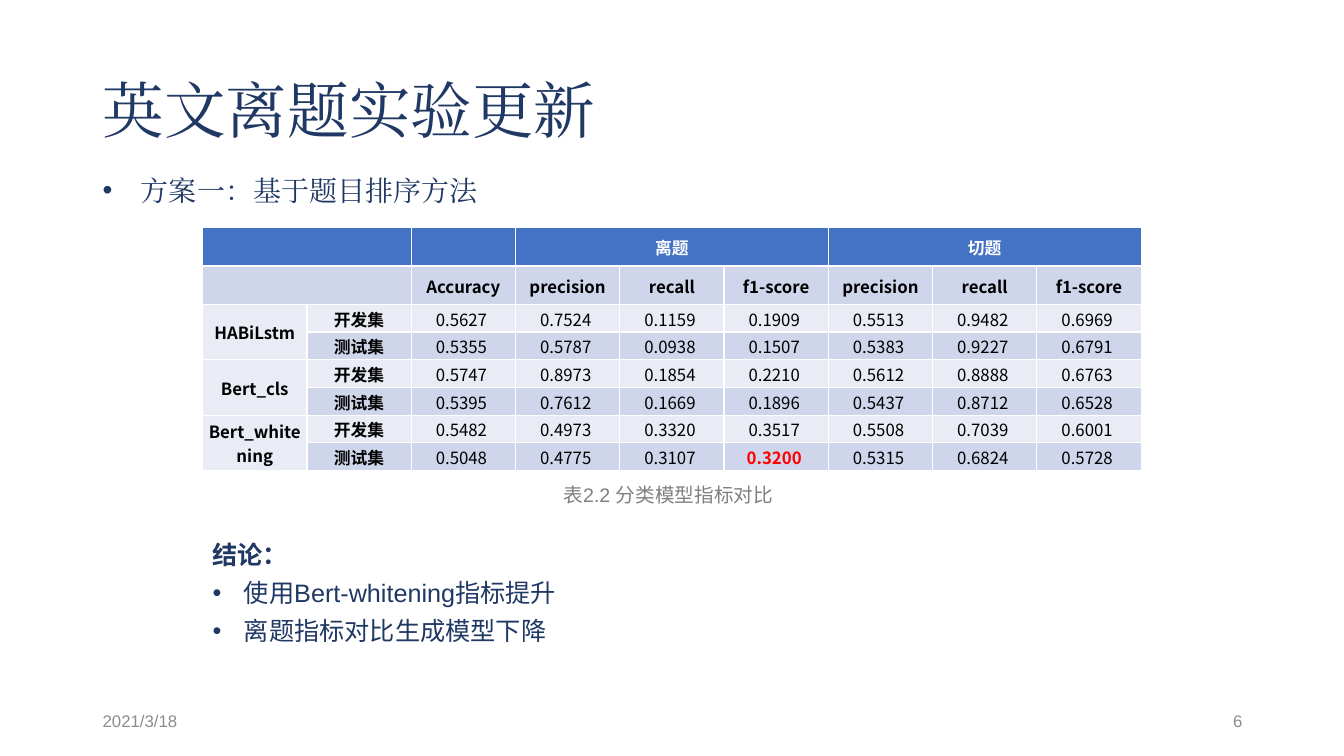
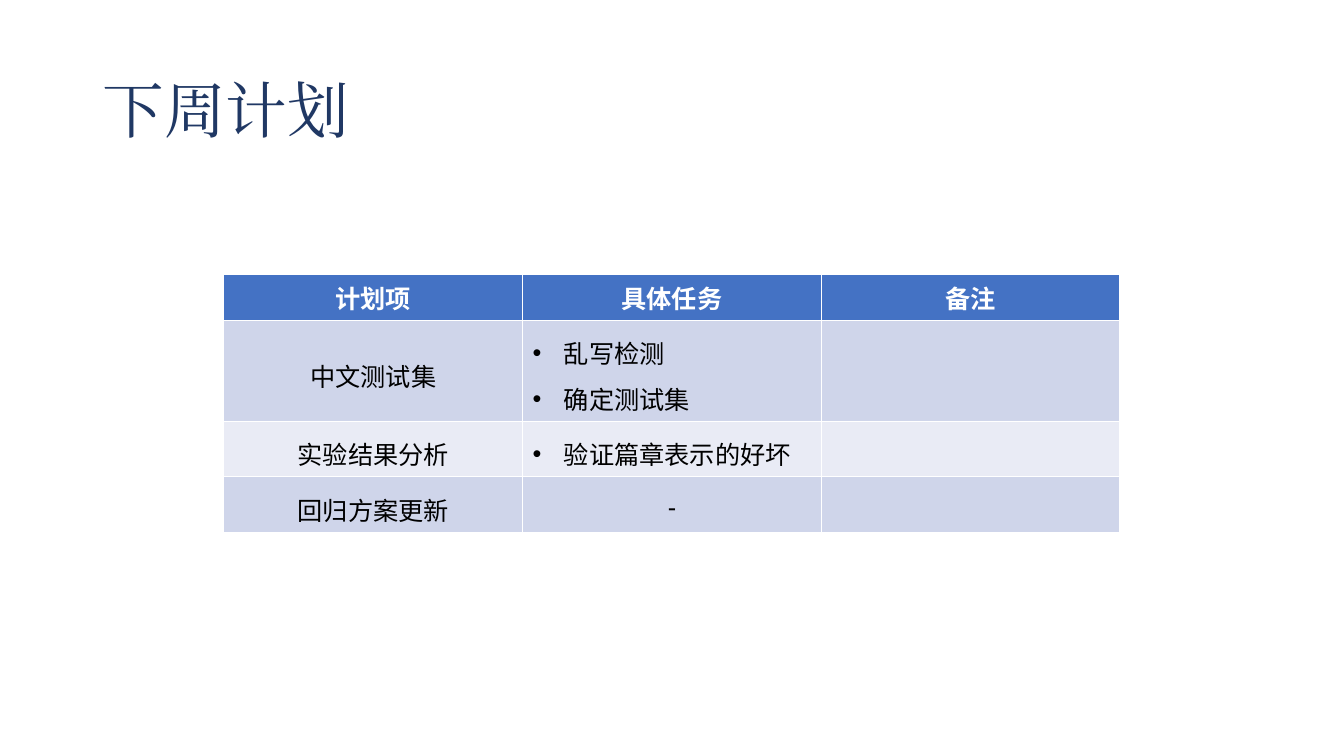
"""Build two slides: topic-relevance experiment results and next week's plan."""
from pptx import Presentation
from pptx.dml.color import RGBColor
from pptx.enum.text import MSO_ANCHOR, PP_ALIGN
from pptx.util import Inches, Pt
from lxml.etree import SubElement
from pptx.oxml.ns import qn

NAVY, GRAY, CAPTION_GRAY = "203864", "8C8C8C", "808080"
WHITE, BLACK, RED = "FFFFFF", "000000", "FF0000"
HEADER, BAND_DARK, BAND_LIGHT = "4472C4", "CFD5EA", "E9EBF5"
SERIF, SANS, CJK = "Times New Roman", "Arial", "Noto Sans CJK SC"


def write(paragraph, text, size, color, font=SANS, east_asian=None, bold=False,
          align=PP_ALIGN.LEFT, spacing=None, indent=0):
    """Fill a paragraph with one styled run, bulleted when it has an indent."""
    paragraph.alignment = align
    paragraph.line_spacing = spacing
    if indent:
        properties = paragraph._p.get_or_add_pPr()
        properties.set("marL", str(Inches(indent)))
        properties.set("indent", str(-Inches(indent)))
        SubElement(properties, qn("a:buFont"), typeface=SANS)
        SubElement(properties, qn("a:buChar"), char="•")
    run = paragraph.add_run()
    run.text = text
    run.font.size = Pt(size)
    run.font.bold = bold
    run.font.name = font
    run.font.color.rgb = RGBColor.from_string(color)
    SubElement(run._r.get_or_add_rPr(), qn("a:ea"), typeface=east_asian or font)


def add_table(slide, left, top, column_width, columns, row_heights, fills):
    """Add a table with equal columns and one fill per row."""
    width, height = Inches(column_width * columns), Inches(sum(row_heights))
    table = slide.shapes.add_table(len(row_heights), columns, Inches(left), Inches(top),
                                   width, height).table
    for column in table.columns:
        column.width = Inches(column_width)
    for row, row_height, fill in zip(table.rows, row_heights, fills):
        row.height = Inches(row_height)
        for cell in row.cells:
            cell.fill.solid()
            cell.fill.fore_color.rgb = RGBColor.from_string(fill)
            cell.vertical_anchor = MSO_ANCHOR.MIDDLE
    return table


presentation = Presentation()
presentation.slide_width, presentation.slide_height = Inches(13.33), Inches(7.5)
blank = presentation.slide_layouts[6]
results_slide = presentation.slides.add_slide(blank)
plan_slide = presentation.slides.add_slide(blank)

title_box = (0.92, 0.4, 11.5, 1.45)
title_style = dict(size=44, color=NAVY, font=SERIF, spacing=0.9)
footer_style = dict(size=12, color=GRAY)
conclusion_style = dict(size=18, color=NAVY, spacing=1.25)
text_boxes = [
    (results_slide, title_box, MSO_ANCHOR.MIDDLE, title_style, [("英文离题实验更新", {})]),
    (plan_slide, title_box, MSO_ANCHOR.MIDDLE, title_style, [("下周计划", {})]),
    (results_slide, (0.92, 6.95, 3, 0.4), MSO_ANCHOR.MIDDLE, footer_style,
     [("2021/3/18", {})]),
    (results_slide, (9.42, 6.95, 3, 0.4), MSO_ANCHOR.MIDDLE, footer_style,
     [("6", dict(align=PP_ALIGN.RIGHT))]),
    (results_slide, (5.49, 4.74, 2.35, 0.34), MSO_ANCHOR.TOP,
     dict(size=14, color=CAPTION_GRAY), [("表2.2 分类模型指标对比", {})]),
    (results_slide, (0.92, 1.67, 4.2, 0.44), MSO_ANCHOR.TOP,
     dict(size=20, color=NAVY, font=SERIF),
     [("方案一：基于题目排序方法", dict(indent=0.38))]),
    (results_slide, (2.01, 5.23, 9.31, 1.2), MSO_ANCHOR.TOP, conclusion_style,
     [("结论：", dict(bold=True)),
      ("使用Bert-whitening指标提升", dict(indent=0.31)),
      ("离题指标对比生成模型下降", dict(indent=0.31))]),
]
for slide, box, anchor, style, lines in text_boxes:
    frame = slide.shapes.add_textbox(*map(Inches, box)).text_frame
    frame.word_wrap = True
    frame.vertical_anchor = anchor
    for number, (text, options) in enumerate(lines):
        paragraph = frame.add_paragraph() if number else frame.paragraphs[0]
        write(paragraph, text, **{**style, **options})

models = ["HABiLstm", "Bert_cls", "Bert_whitening"]
datasets = ["开发集", "测试集"]
metrics = ["precision", "recall", "f1-score"]
scores = [
    [0.5627, 0.7524, 0.1159, 0.1909, 0.5513, 0.9482, 0.6969],
    [0.5355, 0.5787, 0.0938, 0.1507, 0.5383, 0.9227, 0.6791],
    [0.5747, 0.8973, 0.1854, 0.2210, 0.5612, 0.8888, 0.6763],
    [0.5395, 0.7612, 0.1669, 0.1896, 0.5437, 0.8712, 0.6528],
    [0.5482, 0.4973, 0.3320, 0.3517, 0.5508, 0.7039, 0.6001],
    [0.5048, 0.4775, 0.3107, 0.3200, 0.5315, 0.6824, 0.5728],
]
highlight = (7, 5)
results = add_table(results_slide, 2.01, 2.26, 9.31 / 9, 9,
                    [0.38] * 2 + [1.65 / 6] * 6,
                    [HEADER, BAND_DARK] + [BAND_LIGHT, BAND_DARK] * 3)
rows = [["", "", "", "离题", "", "", "切题", "", ""],
        ["", "", "Accuracy"] + metrics * 2]
for number, values in enumerate(scores):
    model = "" if number % 2 else models[number // 2]
    rows.append([model, datasets[number % 2]] + [f"{value:.4f} " for value in values])
for row, texts in enumerate(rows):
    for column, text in enumerate(texts):
        cell = results.cell(row, column)
        cell.margin_left = cell.margin_right = cell.margin_top = Inches(0.01)
        cell.margin_bottom = 0
        if text:
            marked = (row, column) == highlight
            color = WHITE if row == 0 else RED if marked else BLACK
            write(cell.text_frame.paragraphs[0], text, 12, color,
                  font=SANS if row == 0 else CJK, east_asian=CJK,
                  bold=row < 2 or column < 2 or marked, align=PP_ALIGN.CENTER)
        if row > 1 and column == 0 and text:
            cell.fill.fore_color.rgb = RGBColor.from_string(BAND_LIGHT)
for start, end in [((0, 0), (0, 1)), ((0, 3), (0, 5)), ((0, 6), (0, 8)), ((1, 0), (1, 1)),
                   ((2, 0), (3, 0)), ((4, 0), (5, 0)), ((6, 0), (7, 0))]:
    results.cell(*start).merge(results.cell(*end))

plan = add_table(plan_slide, 2.22, 2.72, 8.89 / 3, 3, [0.46, 1, 0.55, 0.55],
                 [HEADER, BAND_DARK, BAND_LIGHT, BAND_DARK])
plan_rows = [
    (["计划项"], ["具体任务"], ["备注"]),
    (["中文测试集"], ["乱写检测", "确定测试集"], []),
    (["实验结果分析"], ["验证篇章表示的好坏"], []),
    (["回归方案更新"], ["-"], []),
]
for row, cells in enumerate(plan_rows):
    for column, lines in enumerate(cells):
        frame = plan.cell(row, column).text_frame
        for number, text in enumerate(lines):
            paragraph = frame.add_paragraph() if number else frame.paragraphs[0]
            bulleted = row > 0 and column == 1 and text != "-"
            write(paragraph, text, 18, BLACK if row else WHITE, east_asian=CJK,
                  bold=row == 0, spacing=1.25 if row else None,
                  align=PP_ALIGN.LEFT if bulleted else PP_ALIGN.CENTER,
                  indent=0.31 if bulleted else 0)

presentation.save("out.pptx")
